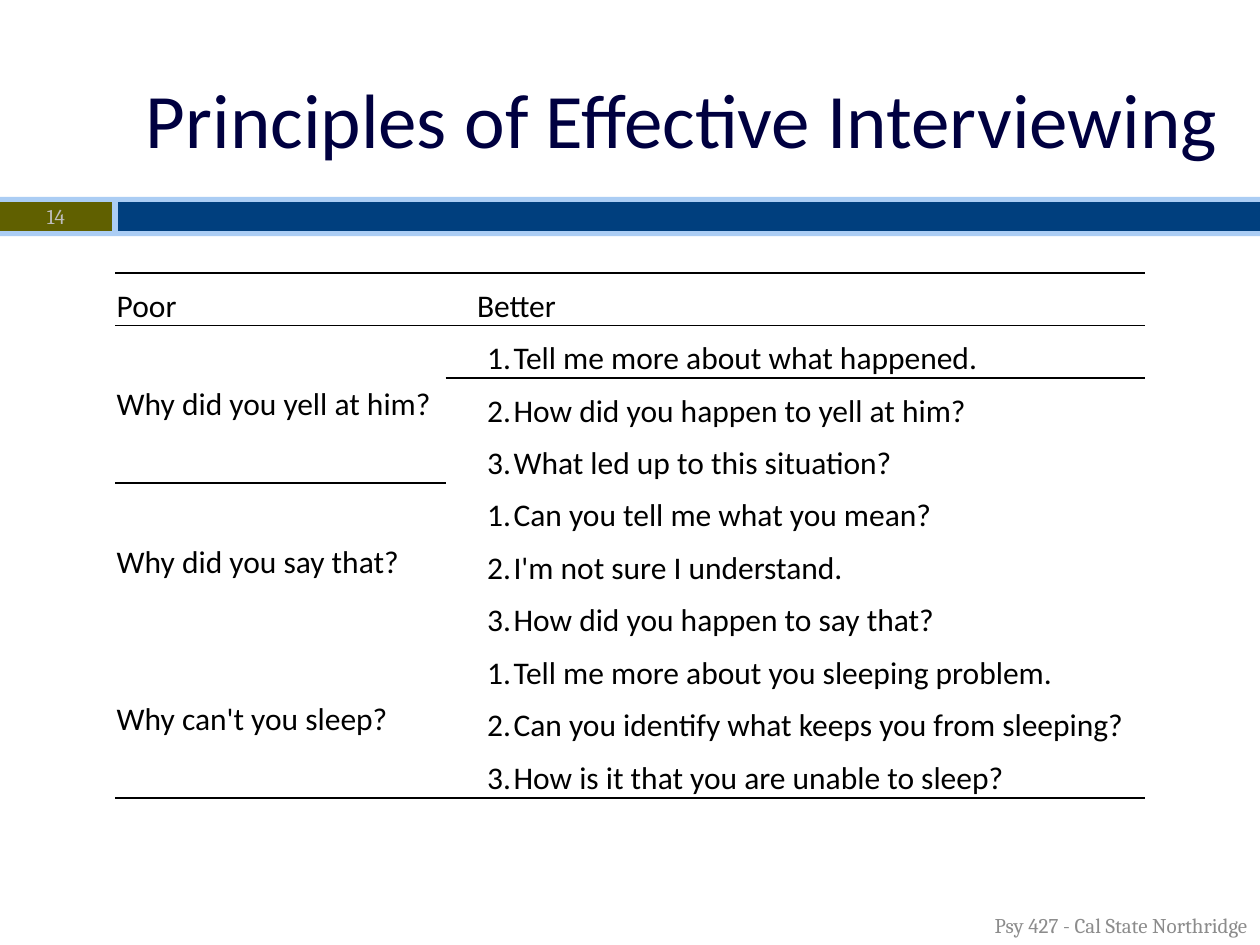
from lxml.etree import SubElement
from pptx import Presentation
from pptx.dml.color import RGBColor
from pptx.enum.shapes import MSO_SHAPE
from pptx.enum.text import MSO_ANCHOR, PP_ALIGN
from pptx.oxml.ns import qn
from pptx.util import Pt

COLORS = {
    "title": "000040",
    "ink": "000000",
    "band_edge": "ABCDF4",
    "band": "003F7E",
    "number_tab": "606000",
    "number": "BDBDBD",
    "footer": "8C8C8C",
}
NO_STYLE = "{2D5ABB26-0587-4C30-8999-92F81FD0307C}"
COLUMN_WIDTHS = [188.6, 17.3, 20.9, 361.4]
ROW_HEIGHT = 30
QUESTIONS = [
    ("Why did you yell at him?", [
        "Tell me more about what happened.",
        "How did you happen to yell at him?",
        "What led up to this situation?",
    ]),
    ("Why did you say that?", [
        "Can you tell me what you mean?",
        "I'm not sure I understand.",
        "How did you happen to say that?",
    ]),
    ("Why can't you sleep?", [
        "Tell me more about you sleeping problem.",
        "Can you identify what keeps you from sleeping?",
        "How is it that you are unable to sleep?",
    ]),
]


def rgb(key):
    return RGBColor.from_string(COLORS[key])


def write(frame, text, size, font, color, align):
    frame.text = text
    paragraph = frame.paragraphs[0]
    paragraph.alignment = align
    run_font = paragraph.runs[0].font
    run_font.size = Pt(size)
    run_font.name = font
    run_font.color.rgb = rgb(color)


def add_band(slide, left, top, width, height, color):
    band = slide.shapes.add_shape(
        MSO_SHAPE.RECTANGLE, Pt(left), Pt(top), Pt(width), Pt(height))
    band.shadow.inherit = False
    band.fill.solid()
    band.fill.fore_color.rgb = rgb(color)
    band.line.fill.background()


def add_title(slide, text):
    title = slide.shapes.title
    title.left, title.top, title.width, title.height = Pt(66), Pt(22.5), Pt(648), Pt(90)
    frame = title.text_frame
    frame.word_wrap = True
    frame.vertical_anchor = MSO_ANCHOR.MIDDLE
    write(frame, text, 44, "Calibri", "title", PP_ALIGN.CENTER)


def add_label(slide, left, top, width, text, color, align):
    label = slide.shapes.add_textbox(Pt(left), Pt(top), Pt(width), Pt(22.5))
    frame = label.text_frame
    frame.word_wrap = True
    frame.vertical_anchor = MSO_ANCHOR.MIDDLE
    write(frame, text, 12, "Cambria", color, align)


def set_rules(cell, *sides):
    """Draw 1 pt rules; sides are given in the order lnT, lnB."""
    properties = cell._tc.get_or_add_tcPr()
    for side in sides:
        rule = SubElement(properties, qn(f"a:{side}"), w=str(Pt(1)))
        fill = SubElement(rule, qn("a:solidFill"))
        SubElement(fill, qn("a:srgbClr"), val=COLORS["ink"])


def fill_cell(cell, text, anchor=MSO_ANCHOR.BOTTOM, align=PP_ALIGN.LEFT):
    cell.vertical_anchor = anchor
    write(cell.text_frame, text, 18, "Calibri", "ink", align)


def add_question_table(slide):
    row_count = 1 + sum(len(better) for _, better in QUESTIONS)
    table = slide.shapes.add_table(
        row_count, len(COLUMN_WIDTHS), Pt(66), Pt(156),
        Pt(sum(COLUMN_WIDTHS)), Pt(row_count * ROW_HEIGHT)).table
    table.first_row = table.horz_banding = False
    table._tbl.tblPr.find(qn("a:tableStyleId")).text = NO_STYLE
    for column, width in zip(table.columns, COLUMN_WIDTHS):
        column.width = Pt(width)

    # Rules around the header and below the last row
    rules = {0: ("lnT", "lnB"), 1: ("lnT",), row_count - 1: ("lnB",)}
    for index, row in enumerate(table.rows):
        row.height = Pt(ROW_HEIGHT)
        for cell in row.cells:
            cell.margin_left = cell.margin_right = cell.margin_top = Pt(0.72)
            cell.margin_bottom = 0
            set_rules(cell, *rules.get(index, ()))
            cell.fill.background()

    # Header
    table.cell(0, 2).merge(table.cell(0, 3))
    fill_cell(table.cell(0, 0), "Poor")
    fill_cell(table.cell(0, 2), "Better")

    # One group of rows per poor question
    first = 1
    for poor, better in QUESTIONS:
        last = first + len(better) - 1
        question = table.cell(first, 0)
        question.merge(table.cell(last, 0))
        fill_cell(question, poor, MSO_ANCHOR.MIDDLE)
        for number, wording in enumerate(better, 1):
            row = first + number - 1
            fill_cell(table.cell(row, 2), f"{number}.", align=PP_ALIGN.RIGHT)
            fill_cell(table.cell(row, 3), wording)
        first = last + 1
    # The last merged question carries the closing rule too
    closing = question._tc.get_or_add_tcPr()
    if closing.find(qn("a:lnB")) is None:
        set_rules(question, "lnB")
        closing.insert(0, closing[-1])


def main():
    presentation = Presentation()
    presentation.slide_width, presentation.slide_height = Pt(720), Pt(540)
    slide = presentation.slides.add_slide(presentation.slide_layouts[5])

    # Band below the title
    add_band(slide, 0, 112.5, 720, 22.5, "band_edge")
    add_band(slide, 0, 115.5, 64, 16.5, "number_tab")
    add_band(slide, 67.5, 115.5, 652.5, 16.5, "band")

    # Title, footer and page number
    add_title(slide, "Principles of Effective Interviewing")
    add_label(slide, 493, 517.5, 227, "Psy 427 - Cal State Northridge",
              "footer", PP_ALIGN.RIGHT)
    add_label(slide, 0, 112.5, 64, "14", "number", PP_ALIGN.CENTER)

    add_question_table(slide)
    presentation.save("out.pptx")


if __name__ == "__main__":
    main()
